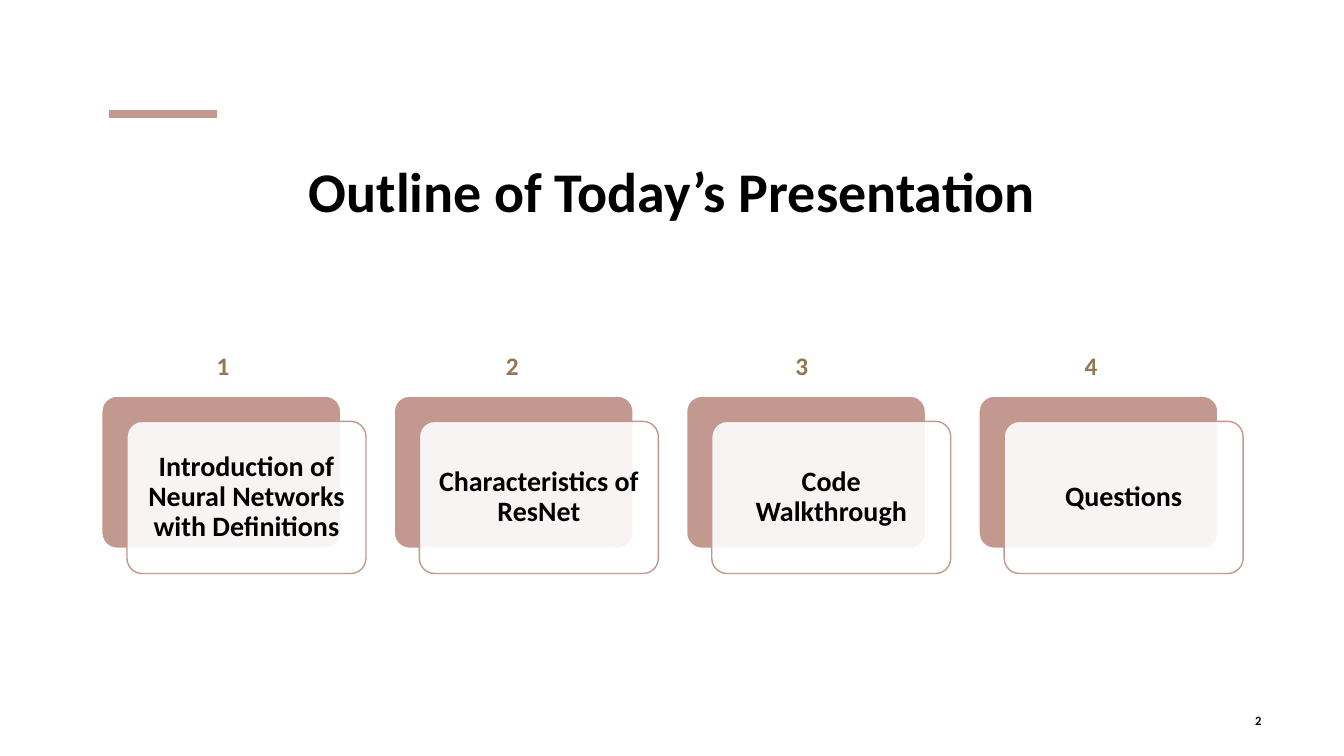
from dataclasses import dataclass

from lxml.etree import SubElement
from pptx import Presentation
from pptx.dml.color import RGBColor
from pptx.enum.shapes import MSO_CONNECTOR, MSO_SHAPE
from pptx.enum.text import MSO_ANCHOR, PP_ALIGN
from pptx.oxml.ns import qn
from pptx.util import Inches, Pt


@dataclass(frozen=True)
class Theme:
    font: str = "Calibri"
    rose: RGBColor = RGBColor(0xC3, 0x98, 0x8F)
    gold: RGBColor = RGBColor(0x94, 0x77, 0x50)
    black: RGBColor = RGBColor(0, 0, 0)
    white: RGBColor = RGBColor(255, 255, 255)
    title_size: int = 40
    card_size: int = 20
    number_size: int = 18
    footer_size: int = 9


THEME = Theme()
TOPICS = [
    "Introduction of Neural Networks with Definitions",
    "Characteristics of ResNet",
    "Code Walkthrough",
    "Questions",
]


def write(tf, text, size, color, align, anchor):
    tf.text = text
    tf.word_wrap = True
    tf.vertical_anchor = anchor
    p = tf.paragraphs[0]
    p.alignment = align
    font = p.runs[0].font
    font.name, font.size, font.bold = THEME.font, Pt(size), True
    font.color.rgb = color
    return p


def add_label(slide, box, text, size, color, align, anchor=MSO_ANCHOR.TOP):
    tb = slide.shapes.add_textbox(*map(Inches, box))
    return write(tb.text_frame, text, size, color, align, anchor)


def add_panel(slide, box, fill, line):
    sp = slide.shapes.add_shape(MSO_SHAPE.ROUNDED_RECTANGLE, *map(Inches, box))
    sp.adjustments[0] = 0.1
    sp.shadow.inherit = False
    sp.fill.solid()
    sp.fill.fore_color.rgb = fill
    sp.line.color.rgb = line
    sp.line.width = Pt(1)
    return sp


def add_header(slide, box):
    left, top, width, height = box
    # Accent bar above the title
    bar = slide.shapes.add_connector(
        MSO_CONNECTOR.STRAIGHT, Inches(left + 0.08), Inches(top - 0.37),
        Inches(left + 1.15), Inches(top - 0.37))
    bar.line.color.rgb = THEME.rose
    bar.line.width = Pt(6)
    SubElement(bar._element.spPr, qn("a:effectLst"))

    # Title
    title = slide.shapes.title
    title.left, title.top = Inches(left), Inches(top)
    title.width, title.height = Inches(width), Inches(height)
    write(title.text_frame, "Outline of Today’s Presentation", THEME.title_size,
          THEME.black, PP_ALIGN.CENTER, MSO_ANCHOR.TOP)


def add_card(slide, box, text):
    left, top, width, height = box
    shift = 0.25
    panel_w, panel_h = width - shift, height - shift
    add_panel(slide, (left, top, panel_w, panel_h), THEME.rose, THEME.white)

    # Translucent front panel carries the topic
    front = add_panel(slide, (left + shift, top + shift, panel_w, panel_h),
                      THEME.white, THEME.rose)
    color = front.fill._xPr.find(qn("a:solidFill"))[0]
    SubElement(color, qn("a:alpha"), val="90000")
    tf = front.text_frame
    tf.margin_left = tf.margin_right = Inches(0.08)
    tf.margin_top = tf.margin_bottom = Inches(0.08)
    p = write(tf, text, THEME.card_size, THEME.black, PP_ALIGN.CENTER,
              MSO_ANCHOR.MIDDLE)
    p.line_spacing = 0.9


def add_outline(slide, box):
    left, top, width, height = box
    card_w, number_h = 2.62, 0.5
    pitch = (width - card_w) / (len(TOPICS) - 1)
    for i, topic in enumerate(TOPICS):
        add_card(slide, (left + i * pitch, top + number_h, card_w,
                         height - number_h), topic)
        add_label(slide, (left + 1.04 + i * 2.87, top, 0.39, 0.4), str(i + 1),
                  THEME.number_size, THEME.gold, PP_ALIGN.LEFT)


def add_slide_number(slide, box):
    add_label(slide, box, "2", THEME.footer_size, THEME.black, PP_ALIGN.RIGHT,
              MSO_ANCHOR.MIDDLE)


def main():
    prs = Presentation()
    prs.slide_width, prs.slide_height = Inches(13.33), Inches(7.5)
    slide = prs.slides.add_slide(prs.slide_layouts[5])
    add_header(slide, (1, 1.5, 11.33, 1.44))
    add_outline(slide, (1.01, 3.43, 11.32, 2.26))
    add_slide_number(slide, (11.82, 6.95, 0.79, 0.4))
    prs.save("out.pptx")


if __name__ == "__main__":
    main()
